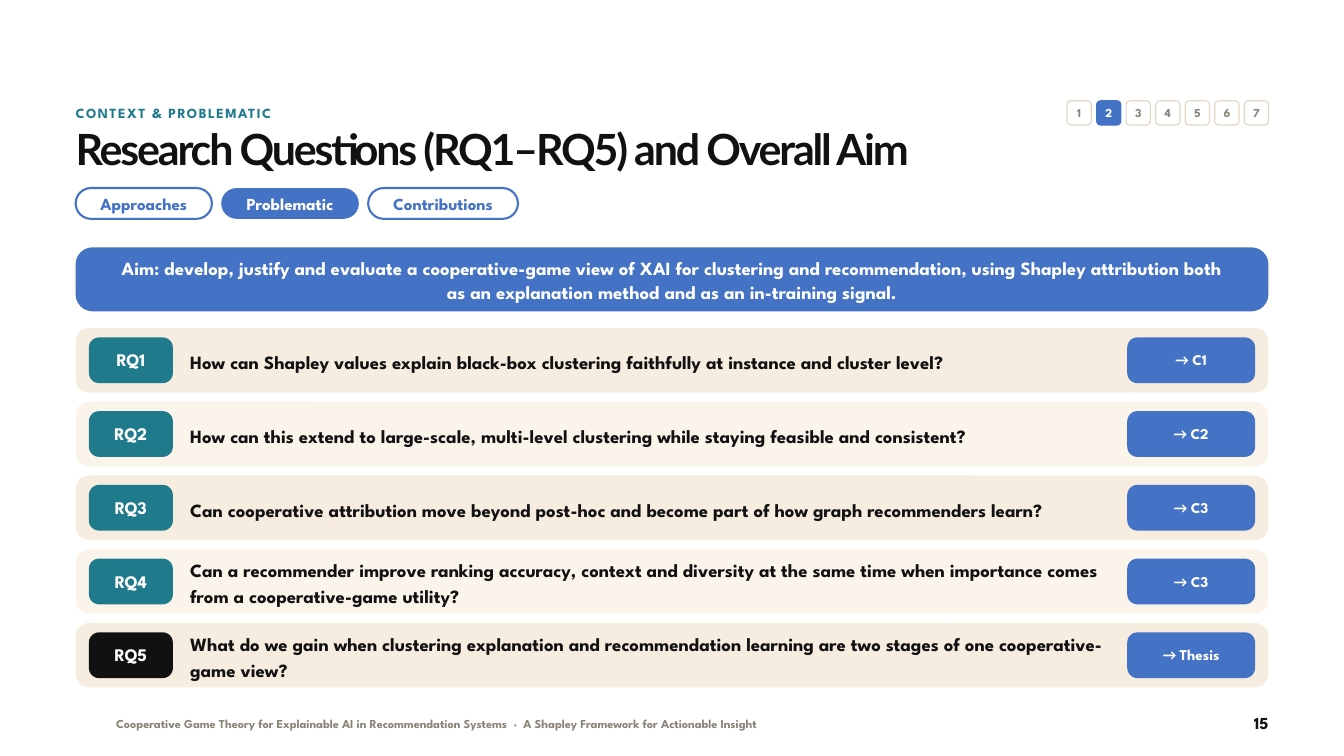
from dataclasses import dataclass
from itertools import cycle

from pptx import Presentation
from pptx.dml.color import RGBColor
from pptx.enum.shapes import MSO_SHAPE as Shape
from pptx.enum.text import MSO_ANCHOR as Anchor, PP_ALIGN as Align
from pptx.util import Pt


@dataclass(frozen=True)
class Theme:
    font: str = "League Spartan"
    title_font: str = "Lato"
    arrow_font: str = "Calibri"
    ink: str = "111111"
    white: str = "FFFFFF"
    blue: str = "4472C4"
    teal: str = "1F7A8C"
    grey: str = "8A8378"
    border: str = "E3D6C4"
    bands: tuple = ("F6ECDF", "FBF4EB")
    title_size: float = 46
    body_size: float = 20
    badge_size: float = 19
    label_size: float = 18
    target_size: float = 16
    section_size: float = 15
    small_size: float = 13


THEME = Theme()

SECTION = "CONTEXT & PROBLEMATIC"
TITLE = "Research Questions (RQ1–RQ5) and Overall Aim"
STEPS, CURRENT_STEP = 7, 2
TABS = [("Approaches", 146), ("Problematic", 147.5), ("Contributions", 160.5)]
CURRENT_TAB = "Problematic"
AIM = (
    "Aim: develop, justify and evaluate a cooperative-game view of XAI for clustering "
    "and recommendation, using Shapley attribution both as an explanation method "
    "and as an in-training signal."
)
QUESTIONS = [
    ("RQ1", "How can Shapley values explain black-box clustering faithfully "
            "at instance and cluster level?", "C1", THEME.teal),
    ("RQ2", "How can this extend to large-scale, multi-level clustering "
            "while staying feasible and consistent?", "C2", THEME.teal),
    ("RQ3", "Can cooperative attribution move beyond post-hoc and become part of "
            "how graph recommenders learn?", "C3", THEME.teal),
    ("RQ4", "Can a recommender improve ranking accuracy, context and diversity at the same "
            "time when importance comes from a cooperative-game utility?", "C3", THEME.teal),
    ("RQ5", "What do we gain when clustering explanation and recommendation learning "
            "are two stages of one cooperative-game view?", "Thesis", THEME.ink),
]
FOOTER = (
    "Cooperative Game Theory for Explainable AI in Recommendation Systems  ·  "
    "A Shapley Framework for Actionable Insight"
)
PAGE = "15"

LEFT, WIDTH = 81, 1278
STEP_LEFT, STEP_TOP, STEP_SIZE, STEP_PITCH = 1143.3, 108, 26, 31.65
TAB_TOP, TAB_HEIGHT, TAB_GAP = 201.5, 33, 10
ROW_TOP, ROW_HEIGHT, ROW_PITCH = 351.5, 69, 79
BADGE_HEIGHT = 49


def write(shape, runs, size, color, leading, align=Align.LEFT, anchor=Anchor.MIDDLE,
          insets=(0, 0), spacing=None):
    frame = shape.text_frame
    frame.word_wrap = True
    frame.vertical_anchor = anchor
    frame.margin_left = frame.margin_right = Pt(insets[0])
    frame.margin_top = frame.margin_bottom = Pt(insets[1])
    paragraph = frame.paragraphs[0]
    paragraph.alignment = align
    paragraph.line_spacing = Pt(leading)
    for text, font_name in runs:
        run = paragraph.add_run()
        run.text = text
        run.font.name = font_name
        run.font.size = Pt(size)
        run.font.bold = True
        run.font.color.rgb = RGBColor.from_string(color)
        if spacing is not None:
            run.font._element.set("spc", str(round(spacing * 100)))


def add_text(slide, box, text, size, color, leading, font=THEME.font, **options):
    shape = slide.shapes.add_textbox(*map(Pt, box))
    write(shape, [(text, font)], size, color, leading, **options)


def add_box(slide, box, radius, fill=None, line=None, line_width=0):
    shape = slide.shapes.add_shape(Shape.ROUNDED_RECTANGLE, *map(Pt, box))
    shape.shadow.inherit = False
    shape.adjustments[0] = radius
    if fill:
        shape.fill.solid()
        shape.fill.fore_color.rgb = RGBColor.from_string(fill)
    else:
        shape.fill.background()
    if line:
        shape.line.color.rgb = RGBColor.from_string(line)
        shape.line.width = Pt(line_width)
    else:
        shape.line.fill.background()
    return shape


def add_steps(slide):
    for index in range(STEPS):
        current = index + 1 == CURRENT_STEP
        fill, line, color = ((THEME.blue, THEME.blue, THEME.white) if current
                             else (THEME.white, THEME.border, THEME.grey))
        box = (STEP_LEFT + index * STEP_PITCH, STEP_TOP, STEP_SIZE, STEP_SIZE)
        step = add_box(slide, box, 0.167, fill, line, 1.25)
        write(step, [(str(index + 1), THEME.font)], THEME.small_size, color, 15, Align.CENTER)


def add_tabs(slide):
    left = LEFT
    for label, width in TABS:
        box = (left, TAB_TOP, width, TAB_HEIGHT)
        if label == CURRENT_TAB:
            tab, color = add_box(slide, box, 0.5, fill=THEME.blue), THEME.white
        else:
            tab, color = add_box(slide, box, 0.5, line=THEME.blue, line_width=2.25), THEME.blue
        write(tab, [(label, THEME.font)], THEME.label_size, color, 21.6, Align.CENTER,
              insets=(3.6, 0))
        left += width + TAB_GAP


def add_questions(slide):
    for index, ((code, question, target, color), band) in enumerate(
            zip(QUESTIONS, cycle(THEME.bands))):
        top = ROW_TOP + index * ROW_PITCH
        badge_top = top + (ROW_HEIGHT - BADGE_HEIGHT) / 2
        add_box(slide, (LEFT, top, WIDTH, ROW_HEIGHT), 0.209, band)
        badge = add_box(slide, (95.25, badge_top, 90, BADGE_HEIGHT), 0.221, color)
        write(badge, [(code, THEME.font)], THEME.badge_size, THEME.white, 21.9,
              Align.CENTER, insets=(7.2, 3.6))
        add_text(slide, (203.75, top, 990, ROW_HEIGHT), question, THEME.body_size,
                 THEME.ink, 28)
        link = add_box(slide, (1207.75, badge_top, 137, BADGE_HEIGHT), 0.221, THEME.blue)
        write(link, [("→ ", THEME.arrow_font), (target, THEME.font)], THEME.target_size,
              THEME.white, 18.4, Align.CENTER, insets=(7.2, 3.6))


def main():
    presentation = Presentation()
    presentation.slide_width, presentation.slide_height = Pt(1440), Pt(810)
    slide = presentation.slides.add_slide(presentation.slide_layouts[6])

    add_text(slide, (124.5, 767.5, 1008, 21.6), FOOTER, THEME.small_size, THEME.grey, 16,
             anchor=Anchor.TOP)
    add_text(slide, (1273, 763.2, 86, 26), PAGE, THEME.label_size, THEME.ink, 22,
             align=Align.RIGHT, anchor=Anchor.TOP)
    add_text(slide, (LEFT, 109.5, 1019, 26), SECTION, THEME.section_size, THEME.teal, 20,
             anchor=Anchor.TOP, spacing=1.6)
    add_steps(slide)
    add_text(slide, (LEFT, 135.5, WIDTH, 57.6), TITLE, THEME.title_size, THEME.ink, 50.6,
             font=THEME.title_font, anchor=Anchor.TOP, spacing=-2.3)
    add_tabs(slide)
    aim = add_box(slide, (LEFT, 265, WIDTH, 68.5), 0.263, THEME.blue)
    write(aim, [(AIM, THEME.font)], THEME.body_size, THEME.white, 26, Align.CENTER,
          insets=(36, 7.2))
    add_questions(slide)

    presentation.save("out.pptx")


if __name__ == "__main__":
    main()
